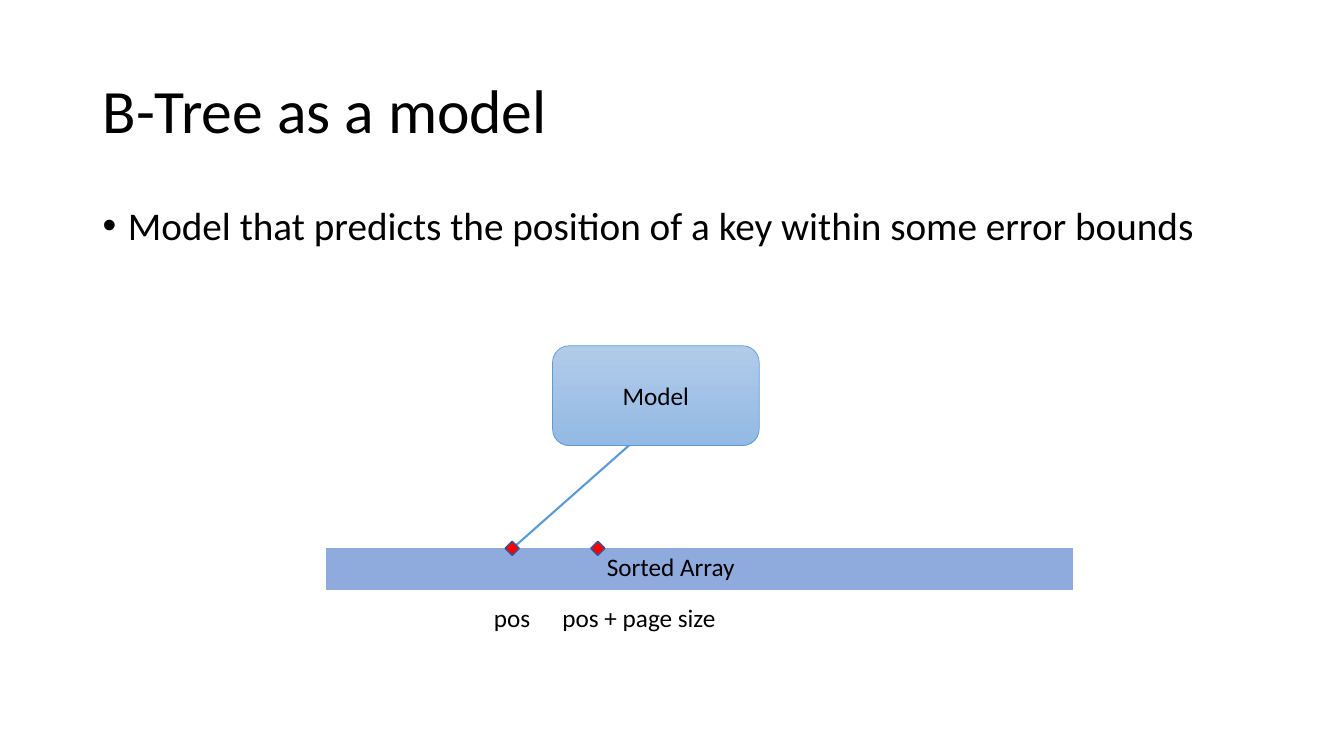
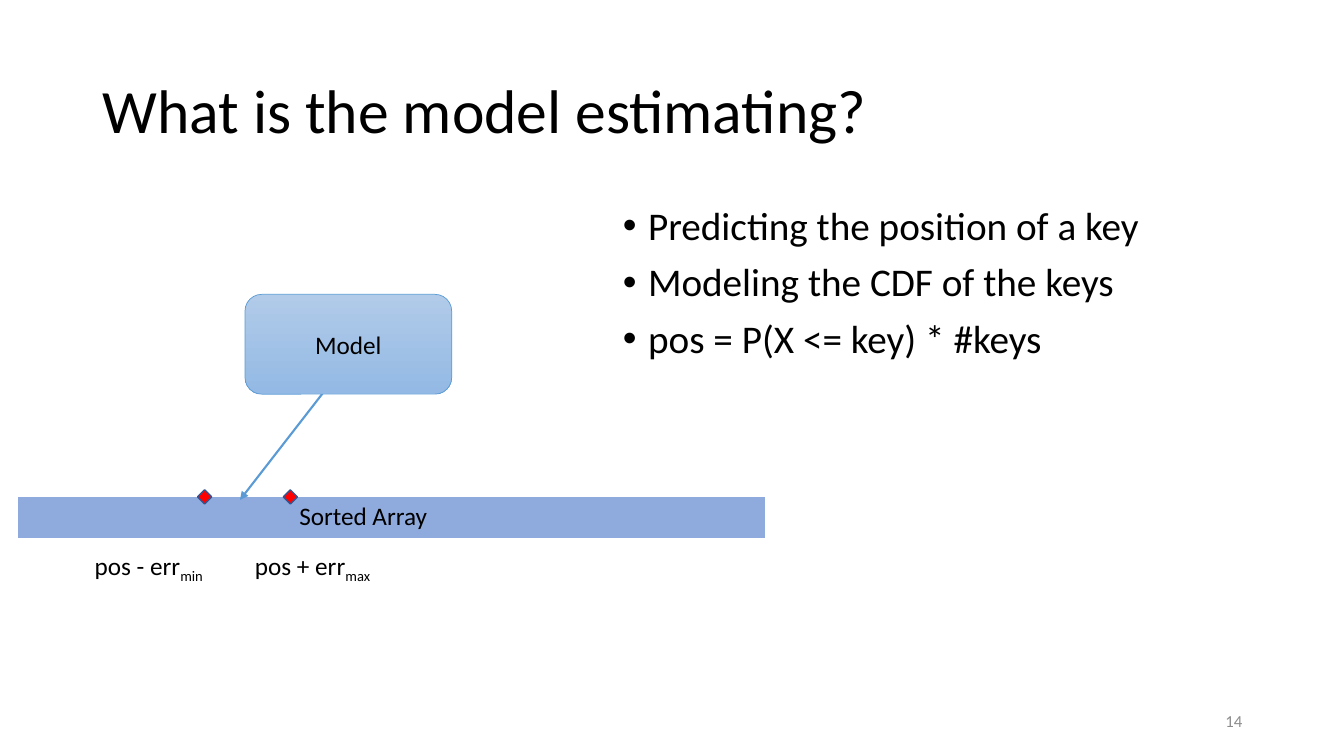
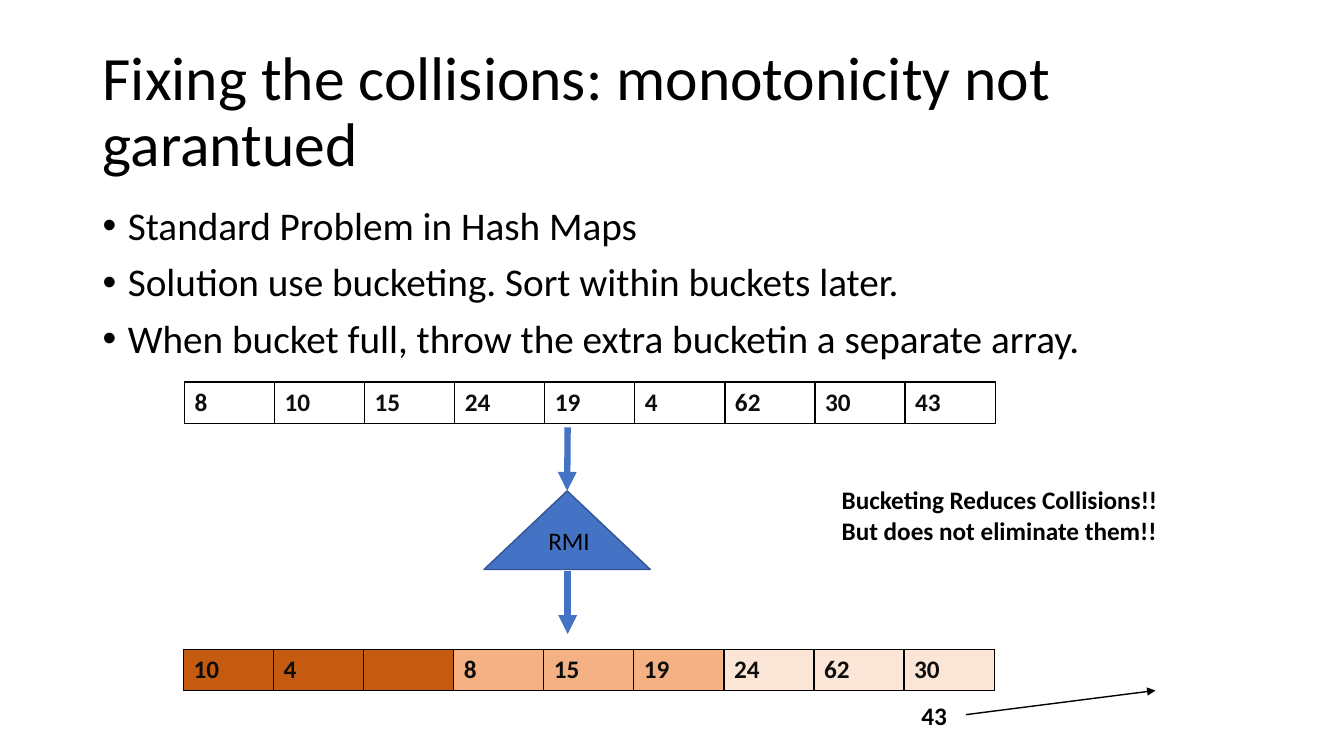
from dataclasses import dataclass

from pptx import Presentation
from pptx import util as u
from pptx.dml.color import RGBColor
from pptx.enum import shapes, text
from pptx.oxml import ns
from lxml import etree


@dataclass(frozen=True)
class Theme:
    font: str = "Calibri"
    title_size: int = 44
    body_size: int = 28
    label_size: int = 18
    number_size: int = 12
    ink: str = "000000"
    cell_ink: str = "0D0D0D"
    number_ink: str = "8C8C8C"
    white: str = "FFFFFF"
    array: str = "8FAADC"
    model_top: str = "B1CBE9"
    model_bottom: str = "93B9E4"
    model_line: str = "5B9BD5"
    accent: str = "4472C4"
    outline: str = "325491"
    marker: str = "FF0000"
    buckets: tuple = ("C55A11", "F4B183", "FBE5D6")
    plain_table: str = "{2D5ABB26-0587-4C30-8999-92F81FD0307C}"


THEME = Theme()
ROW_HEIGHT = 0.41


def color(value):
    return RGBColor.from_string(value)


def add_xml(parent, tag, **attributes):
    return etree.SubElement(parent, ns.qn(tag), attributes)


# Text
def add_run(paragraph, content, size, ink=THEME.ink, bold=False, subscript=False):
    run = paragraph.add_run()
    run.text = content
    run.font.name = THEME.font
    run.font.size = u.Pt(size)
    run.font.bold = bold
    run.font.color.rgb = color(ink)
    if subscript:
        run._r.get_or_add_rPr().set("baseline", "-25000")


def add_text_frame(slide, left, top, width, height, anchor=text.MSO_ANCHOR.TOP):
    box = slide.shapes.add_textbox(*map(u.Inches, (left, top, width, height)))
    frame = box.text_frame
    frame.word_wrap = True
    frame.vertical_anchor = anchor
    return frame


def add_title(slide, content):
    frame = add_text_frame(slide, 0.92, 0.4, 11.5, 1.45, text.MSO_ANCHOR.MIDDLE)
    paragraph = frame.paragraphs[0]
    paragraph.line_spacing = 0.9
    add_run(paragraph, content, THEME.title_size)


def add_bullets(slide, items, left=0.92):
    frame = add_text_frame(slide, left, 2, 12.42 - left, 4.76)
    for index, item in enumerate(items):
        paragraph = frame.add_paragraph() if index else frame.paragraphs[0]
        paragraph.line_spacing = 0.9
        paragraph.space_before = u.Pt(10)
        properties = paragraph._p.get_or_add_pPr()
        properties.set("marL", str(u.Inches(0.25)))
        properties.set("indent", str(-u.Inches(0.25)))
        add_xml(properties, "a:buFont", typeface="Arial")
        add_xml(properties, "a:buChar", char="•")
        add_run(paragraph, item, THEME.body_size)


def add_label(slide, left, top, width, content, subscript="", bold=False, height=0.4):
    paragraph = add_text_frame(slide, left, top, width, height).paragraphs[0]
    add_run(paragraph, content, THEME.label_size, bold=bold)
    if subscript:
        add_run(paragraph, subscript, THEME.label_size, subscript=True)


def add_slide_number(slide, number):
    frame = add_text_frame(slide, 9.42, 6.95, 3, 0.4, text.MSO_ANCHOR.MIDDLE)
    paragraph = frame.paragraphs[0]
    paragraph.alignment = text.PP_ALIGN.RIGHT
    add_run(paragraph, number, THEME.number_size, THEME.number_ink)


# Shapes and lines
def add_shape(slide, kind, left, top, width, height, line, line_width):
    shape = slide.shapes.add_shape(kind, *map(u.Inches, (left, top, width, height)))
    shape.shadow.inherit = False
    shape.line.color.rgb = color(line)
    shape.line.width = u.Pt(line_width)
    return shape


def add_solid(slide, kind, left, top, width, height, fill):
    shape = add_shape(slide, kind, left, top, width, height, THEME.outline, 1)
    shape.fill.solid()
    shape.fill.fore_color.rgb = color(fill)
    return shape


def add_arrow(slide, start, end, line, width):
    connector = slide.shapes.add_connector(
        shapes.MSO_CONNECTOR.STRAIGHT, *map(u.Inches, (*start, *end)))
    connector.line.color.rgb = color(line)
    connector.line.width = u.Pt(width)
    add_xml(connector.line._get_or_add_ln(), "a:tailEnd", type="triangle")
    add_xml(connector._element.spPr, "a:effectLst")
    return connector


# Tables
def add_borders(cell):
    properties = cell._tc.get_or_add_tcPr()
    for side in "LRTB":
        line = add_xml(properties, f"a:ln{side}", w=str(u.Pt(1)))
        add_xml(add_xml(line, "a:solidFill"), "a:srgbClr", val=THEME.ink)


def add_row(slide, left, top, width, values, fills, bordered=True):
    frame = slide.shapes.add_table(
        1, len(values), *map(u.Inches, (left, top, width, ROW_HEIGHT)))
    table = frame.table
    table.first_row = table.horz_banding = False
    table._tbl.tblPr.find(ns.qn("a:tableStyleId")).text = THEME.plain_table
    for cell, value, fill in zip(table.rows[0].cells, values, fills):
        if bordered:
            add_borders(cell)
        cell.fill.solid()
        cell.fill.fore_color.rgb = color(fill)
        if value:
            add_run(cell.text_frame.paragraphs[0], value, THEME.label_size,
                    THEME.cell_ink, bold=True)


# Model above a sorted array, placed by the array's top left corner
def add_model_diagram(slide, left, top, target):
    columns = 8
    add_row(slide, left, top, 7.41, [""] * columns, [THEME.array] * columns, False)
    add_label(slide, left + 2.69, top - 0.02, 1.5, "Sorted Array")
    add_arrow(slide, (left + 3.03, top - 1.04), (left + target, top + 0.03),
              THEME.model_line, 1.5)
    for offset in (1.78, 2.63):
        add_solid(slide, shapes.MSO_SHAPE.DIAMOND, left + offset, top - 0.07,
                  0.14, 0.14, THEME.marker)
    model = add_shape(slide, shapes.MSO_SHAPE.ROUNDED_RECTANGLE, left + 2.25,
                      top - 2.01, 2.05, 0.99, THEME.model_line, 0.5)
    model.fill.gradient()
    model.fill.gradient_angle = 270
    for stop, shade in zip(model.fill.gradient_stops,
                           (THEME.model_top, THEME.model_bottom)):
        stop.color.rgb = color(shade)
    model.text_frame.vertical_anchor = text.MSO_ANCHOR.MIDDLE
    paragraph = model.text_frame.paragraphs[0]
    paragraph.alignment = text.PP_ALIGN.CENTER
    add_run(paragraph, "Model", THEME.label_size)


# Slides
def build_btree(slide):
    add_title(slide, "B-Tree as a model")
    add_bullets(slide, [
        "Model that predicts the position of a key within some error bounds"])
    add_model_diagram(slide, 3.23, 5.44, target=1.82)
    add_label(slide, 4.8, 5.93, 0.6, "pos")
    add_label(slide, 5.48, 5.93, 2.11, "pos + page size")


def build_estimate(slide):
    add_title(slide, "What is the model estimating?")
    add_bullets(slide, [
        "Predicting the position of a key",
        "Modeling the CDF of the keys",
        "pos = P(X <= key) * #keys"], left=6.08)
    add_slide_number(slide, "14")
    add_model_diagram(slide, 0.18, 4.93, target=2.2)
    add_label(slide, 0.84, 5.41, 1.52, "pos - err", "min")
    add_label(slide, 2.43, 5.41, 2.11, "pos + err", "max")


def build_collisions(slide):
    add_title(slide, "Fixing the collisions: monotonicity not garantued")
    add_bullets(slide, [
        "Standard Problem in Hash Maps",
        "Solution use bucketing. Sort within buckets later.",
        "When bucket full, throw the extra bucketin a separate array."])

    # Input keys and the buckets they land in
    keys = ["8", "10", "15", "24", "19", "4", "62", "30", "43"]
    bucketed = ["10", "4", "", "8", "15", "19", "24", "62", "30"]
    bucket_fills = [fill for fill in THEME.buckets for _ in range(3)]
    add_row(slide, 1.83, 3.79, 8.04, keys, [THEME.white] * len(keys))
    add_row(slide, 1.82, 6.44, 8.04, bucketed, bucket_fills)

    # Index between the two arrays
    center = 5.63
    index = add_solid(slide, shapes.MSO_SHAPE.ISOSCELES_TRIANGLE, 4.8, 4.87,
                      1.65, 0.78, THEME.accent)
    add_label(slide, 5.34, 5.16, 3, "RMI")
    arrow_in = add_arrow(slide, (center, 4.24), (center, 4.87), THEME.accent, 4.5)
    arrow_in.end_connect(index, 0)
    add_arrow(slide, (center, 5.66), (center, 6.29), THEME.accent, 4.5)

    # Overflow key and remark
    add_label(slide, 9.04, 6.9, 3, "43", bold=True)
    add_label(slide, 8.25, 4.76, 3.43,
              "Bucketing Reduces Collisions!! But does not eliminate them!!",
              bold=True, height=0.71)
    add_arrow(slide, (9.58, 7.09), (11.46, 6.85), THEME.ink, 1)


def main():
    presentation = Presentation()
    presentation.slide_width = u.Inches(13.33)
    presentation.slide_height = u.Inches(7.5)
    blank = presentation.slide_layouts[6]
    for build in (build_btree, build_estimate, build_collisions):
        build(presentation.slides.add_slide(blank))
    presentation.save("out.pptx")


if __name__ == "__main__":
    main()
